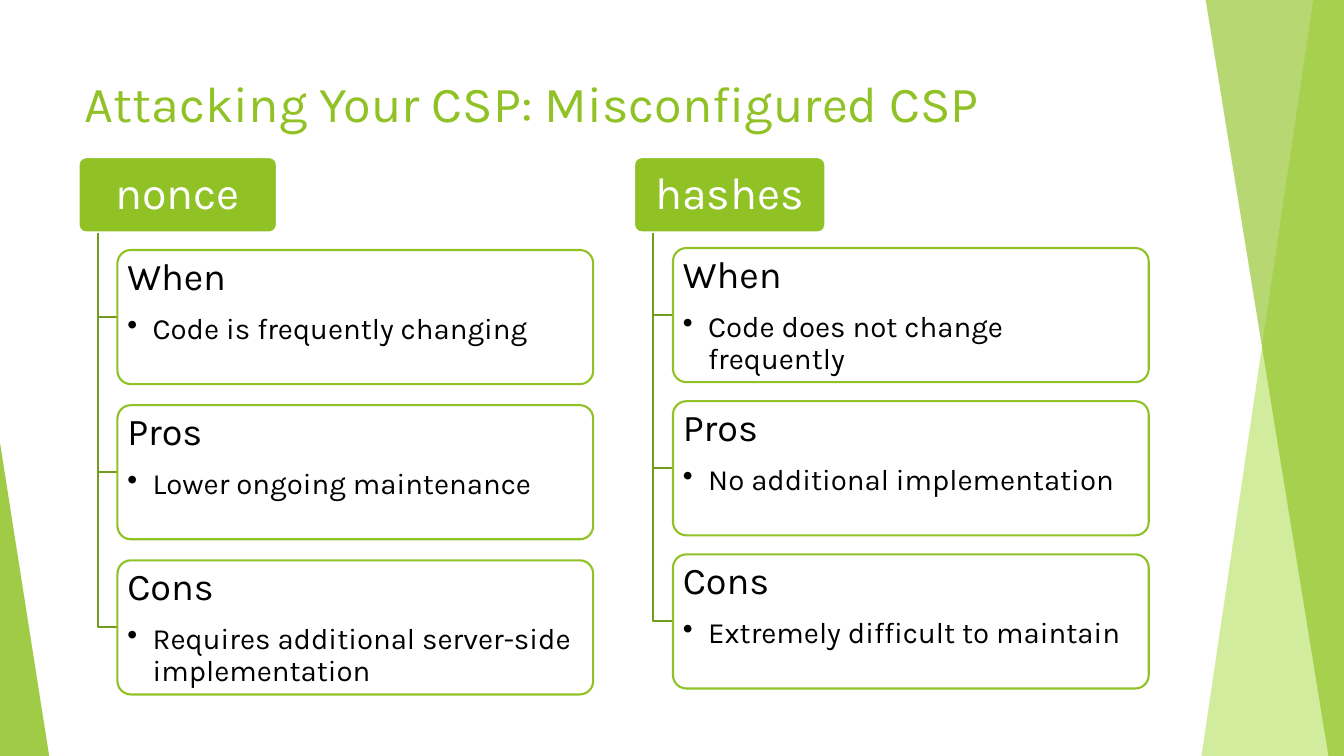
from dataclasses import dataclass

from lxml.etree import SubElement
from pptx import Presentation
from pptx.dml.color import RGBColor
from pptx.enum.shapes import MSO_SHAPE
from pptx.enum.text import MSO_ANCHOR, PP_ALIGN
from pptx.oxml.ns import qn
from pptx.util import Cm, Pt


@dataclass(frozen=True)
class Theme:
    font: str = "Karla"
    green: str = "90C226"
    pale_green: str = "C0E474"
    dark_green: str = "739B1E"
    white: str = "FFFFFF"
    black: str = "000000"
    title_size: int = 36
    header_size: int = 32
    heading_size: int = 27
    bullet_size: int = 21
    line_width: float = 1.5


THEME = Theme()

# Column and card measures in centimetres
HEADER_TOP, HEADER_HEIGHT = 3.96, 1.9
TRUNK_INDENT, CARD_INDENT = 0.48, 0.98
CARD_WIDTH, CARD_HEIGHT = 11.99, 3.38

# Header, left, header width, first card top, card pitch, cards
COLUMNS = [
    ("nonce", 1.98, 5, 6.3, 3.91, [
        ("When", "Code is frequently changing"),
        ("Pros", "Lower ongoing maintenance"),
        ("Cons", "Requires additional server-side implementation"),
    ]),
    ("hashes", 15.98, 4.82, 6.25, 3.86, [
        ("When", "Code does not change frequently"),
        ("Pros", "No additional implementation"),
        ("Cons", "Extremely difficult to maintain"),
    ]),
]


def paint(shape, fill=None, opacity=100, line=None):
    """Set fill, opacity and outline, and remove the shadow."""
    shape.shadow.inherit = False
    if fill:
        shape.fill.solid()
        shape.fill.fore_color.rgb = RGBColor.from_string(fill)
        if opacity < 100:
            color = shape.fill._xPr.find(qn("a:solidFill"))[0]
            SubElement(color, qn("a:alpha"), val=str(opacity * 1000))
    else:
        shape.fill.background()
    if line:
        shape.line.color.rgb = RGBColor.from_string(line)
        shape.line.width = Pt(THEME.line_width)
    else:
        shape.line.fill.background()


def add_path(page, points, close):
    start, *rest = [(Cm(x), Cm(y)) for x, y in points]
    builder = page.shapes.build_freeform(*start)
    builder.add_line_segments(rest, close=close)
    return builder.convert_to_shape()


def add_span(para, text, size, color):
    span = para.add_run()
    span.text = text
    span.font.name = THEME.font
    span.font.size = Pt(size)
    span.font.color.rgb = RGBColor.from_string(color)


def add_round_box(page, left, top, width, height, margins):
    box = page.shapes.add_shape(MSO_SHAPE.ROUNDED_RECTANGLE,
                                Cm(left), Cm(top), Cm(width), Cm(height))
    box.adjustments[0] = 0.1
    frame = box.text_frame
    frame.word_wrap = True
    frame.margin_left = frame.margin_right = Cm(margins[0])
    frame.margin_top = frame.margin_bottom = Cm(margins[1])
    return box


def add_header(page, text, left, width):
    box = add_round_box(page, left, HEADER_TOP, width, HEADER_HEIGHT, (0.18, 0.1))
    paint(box, THEME.green, line=THEME.white)
    box.text_frame.vertical_anchor = MSO_ANCHOR.MIDDLE
    para = box.text_frame.paragraphs[0]
    para.alignment = PP_ALIGN.CENTER
    para.line_spacing = 0.9
    add_span(para, text, THEME.header_size, THEME.white)


def add_card(page, heading, detail, left, top):
    box = add_round_box(page, left, top, CARD_WIDTH, CARD_HEIGHT, (0.15, 0.1))
    paint(box, THEME.white, 90, THEME.green)
    frame = box.text_frame
    frame.vertical_anchor = MSO_ANCHOR.TOP

    title = frame.paragraphs[0]
    title.space_after = Pt(11)
    add_span(title, heading, THEME.heading_size, THEME.black)

    item = frame.add_paragraph()
    item.level = 1
    properties = item._p.get_or_add_pPr()
    properties.set("marL", str(Cm(0.64)))
    properties.set("indent", str(-Cm(0.64)))
    SubElement(properties, qn("a:buChar"), char="•")
    add_span(item, detail, THEME.bullet_size, THEME.black)

    for para in frame.paragraphs:
        para.alignment = PP_ALIGN.LEFT
        para.line_spacing = 0.9


def add_column(page, header, left, width, first_top, pitch, cards):
    add_header(page, header, left, width)
    trunk, card_left = left + TRUNK_INDENT, left + CARD_INDENT
    for row, (heading, detail) in enumerate(cards):
        top = first_top + row * pitch
        middle = top + CARD_HEIGHT / 2
        elbow = add_path(page, [(trunk, HEADER_TOP + HEADER_HEIGHT),
                                (trunk, middle), (card_left, middle)], close=False)
        paint(elbow, line=THEME.dark_green)
        add_card(page, heading, detail, card_left, top)


def add_backdrop(page):
    right, top, bottom = 33.87, -0.03, 19.05
    facets = [
        (33.1, 30.28, THEME.pale_green, 70),
        (30.38, 33.48, THEME.green, 65),
    ]
    for upper, lower, color, opacity in facets:
        facet = add_path(page, [(upper, top), (right, top),
                                (right, bottom), (lower, bottom)], close=True)
        paint(facet, color, opacity)
    wedge = page.shapes.add_shape(MSO_SHAPE.ISOSCELES_TRIANGLE,
                                  Cm(0), Cm(11.15), Cm(1.24), Cm(7.9))
    wedge.adjustments[0] = 0
    paint(wedge, THEME.green, 85)


def set_title(page, text):
    title = page.shapes.title
    title.left, title.top = Cm(1.88), Cm(1.7)
    title.width, title.height = Cm(23.88), Cm(2.08)
    title.text_frame.vertical_anchor = MSO_ANCHOR.TOP
    para = title.text_frame.paragraphs[0]
    para.alignment = PP_ALIGN.LEFT
    add_span(para, text, THEME.title_size, THEME.green)


def main():
    deck = Presentation()
    deck.slide_width, deck.slide_height = Cm(33.87), Cm(19.05)
    page = deck.slides.add_slide(deck.slide_layouts[5])  # Title Only
    add_backdrop(page)
    set_title(page, "Attacking Your CSP: Misconfigured CSP")
    for column in COLUMNS:
        add_column(page, *column)
    deck.save("out.pptx")


if __name__ == "__main__":
    main()
